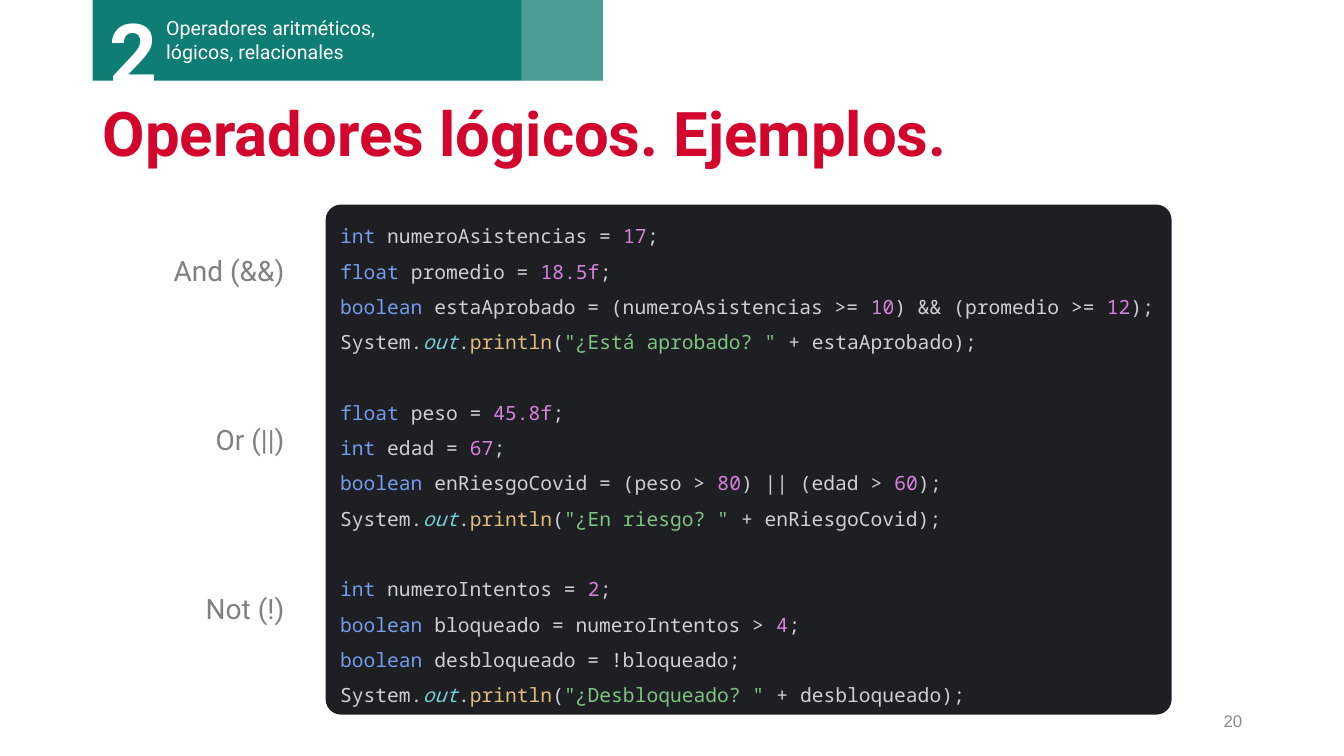
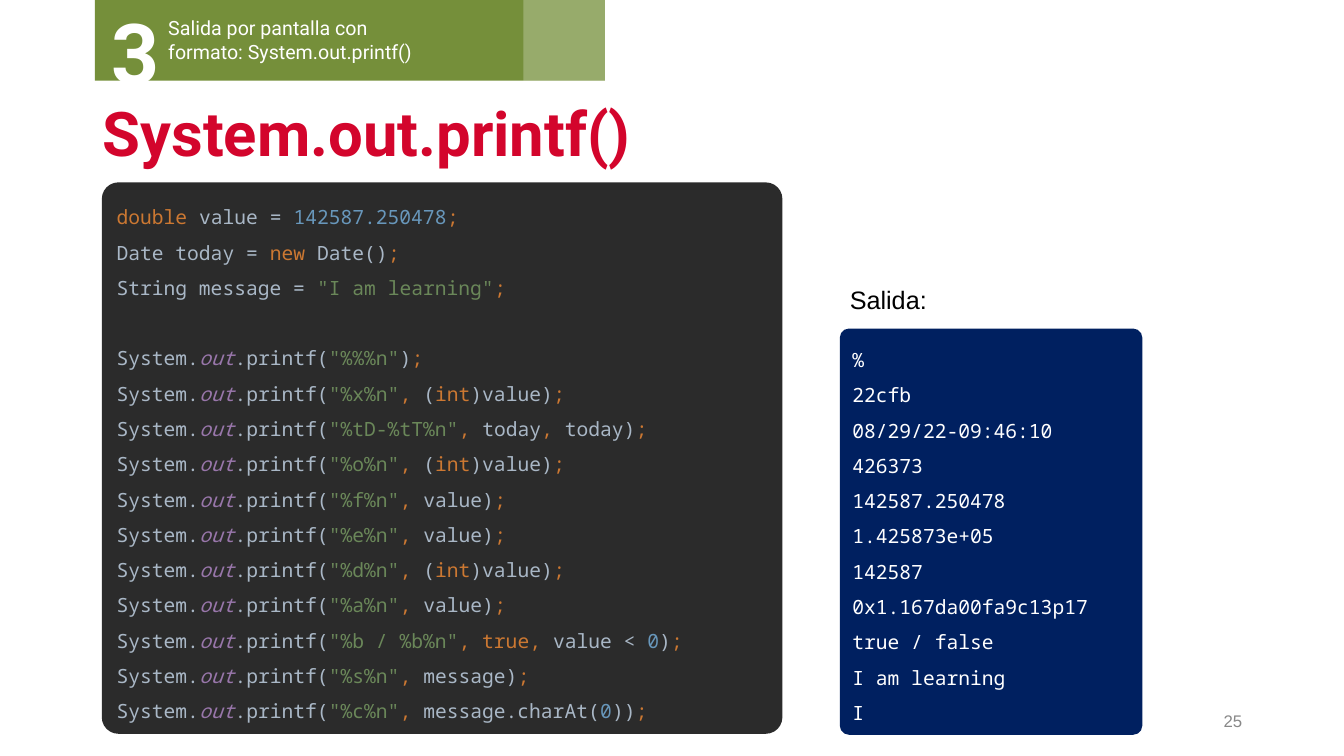
from lxml import etree
from pptx import Presentation
from pptx.dml.color import RGBColor
from pptx.enum.shapes import MSO_SHAPE as SHAPE
from pptx.enum.text import MSO_ANCHOR as ANCHOR, PP_ALIGN as ALIGN
from pptx.oxml.ns import qn
from pptx.util import Inches, Pt

# Shared colours and fonts
WHITE = RGBColor(0xFF, 0xFF, 0xFF)
BLACK = RGBColor(0x00, 0x00, 0x00)
RED = RGBColor(0xD3, 0x05, 0x2C)
GRAY = RGBColor(0x80, 0x80, 0x80)
PAGE_GRAY = RGBColor(0x88, 0x88, 0x88)
TEAL = RGBColor(0x0E, 0x7D, 0x73)
OLIVE = RGBColor(0x75, 0x8F, 0x3A)
NIGHT = RGBColor(0x1E, 0x1F, 0x22)
CHARCOAL = RGBColor(0x2B, 0x2B, 0x2B)
NAVY = RGBColor(0x00, 0x20, 0x60)

SANS, MONO, PLAIN = "Roboto", "Noto Sans Mono", "Arial"
CODE_LINE = Pt(25.2)  # height of one line of code

# Syntax colours: k keyword, n number, s string, f function, i static field
NIGHT_SYNTAX = {
    "": RGBColor(0xCE, 0xD0, 0xD6),
    "k": RGBColor(0x74, 0x9D, 0xED),
    "n": RGBColor(0xD9, 0x81, 0xDE),
    "s": RGBColor(0x7E, 0xC4, 0x82),
    "f": RGBColor(0xDE, 0xBC, 0x7E),
    "i": RGBColor(0x72, 0xCF, 0xD6),
}
CHARCOAL_SYNTAX = {
    "": RGBColor(0xA9, 0xB7, 0xC6),
    "k": RGBColor(0xCC, 0x78, 0x32),
    "n": RGBColor(0x68, 0x97, 0xBB),
    "s": RGBColor(0x6A, 0x87, 0x59),
    "i": RGBColor(0x98, 0x76, 0xAA),
}
OUTPUT_SYNTAX = {"": WHITE}


# Basic elements
def add_run(p, text, size, font, color, bold=False, italic=False):
    r = p.add_run()
    r.text = text
    r.font.size, r.font.name = Pt(size), font
    r.font.bold, r.font.italic = bold, italic
    r.font.color.rgb = color


def add_text(slide, box, lines, size, font, color, bold=False,
             align=ALIGN.LEFT, anchor=ANCHOR.TOP, spacing=None, gap=0):
    tf = slide.shapes.add_textbox(*map(Inches, box)).text_frame
    tf.word_wrap, tf.vertical_anchor = True, anchor
    for i, line in enumerate(lines):
        p = tf.add_paragraph() if i else tf.paragraphs[0]
        p.alignment, p.line_spacing = align, spacing
        if i:
            p.space_before = Pt(gap)
        add_run(p, line, size, font, color, bold)


def add_block(slide, kind, box, color, alpha=None):
    sp = slide.shapes.add_shape(kind, *map(Inches, box))
    sp.shadow.inherit = False
    sp.fill.solid()
    sp.fill.fore_color.rgb = color
    sp.line.fill.background()
    if alpha is not None:
        rgb = sp.fill._xPr.find(".//" + qn("a:srgbClr"))
        etree.SubElement(rgb, qn("a:alpha")).set("val", str(alpha * 1000))
    return sp


# Frame shared by the slides
def add_frame(prs, title, page, left, color, number, section):
    slide = prs.slides.add_slide(prs.slide_layouts[6])
    add_text(slide, (0.92, 0.93, 11.5, 0.86), [title], 44, SANS, RED,
             bold=True, anchor=ANCHOR.MIDDLE, spacing=0.9)
    add_text(slide, (9.42, 6.95, 3, 0.4), [page], 12, PLAIN, PAGE_GRAY,
             align=ALIGN.RIGHT, anchor=ANCHOR.MIDDLE)
    add_block(slide, SHAPE.RECTANGLE, (left, 0, 5.06, 0.8), color)
    add_text(slide, (left + 0.63, 0.11, 2.75, 0.57), [section], 14, SANS, WHITE)
    add_text(slide, (left + 0.07, -0.04, 1.12, 1.11), [number], 60, SANS, WHITE,
             bold=True)
    add_block(slide, SHAPE.RECTANGLE, (left + 4.25, 0, 0.81, 0.8), WHITE, 25)
    return slide


# Code: every second part between § marks starts with its syntax letter
def split_syntax(line):
    for i, part in enumerate(line.split("§")):
        kind, text = (part[0], part[1:]) if i % 2 else ("", part)
        if text:
            yield kind, text


def add_code(slide, box, fill, syntax, groups, anchor=ANCHOR.MIDDLE, wrap=True):
    sp = add_block(slide, SHAPE.ROUNDED_RECTANGLE, box, fill)
    sp.adjustments[0] = round(0.14 / min(box[2:]), 3) if box[2] < 4 else 0.03
    if box[2] < 4:
        sp.adjustments[0] = 0.03
    tf = sp.text_frame
    tf.word_wrap, tf.vertical_anchor = wrap, anchor
    p = tf.paragraphs[0]
    for g, group in enumerate(groups):
        for i, line in enumerate(group):
            if g or i:
                p = tf.add_paragraph()
            if g and not i:
                p.space_before = CODE_LINE
            p.alignment, p.line_spacing = ALIGN.LEFT, 1.5
            for kind, text in split_syntax(line):
                add_run(p, text, 14, MONO, syntax[kind], italic=kind == "i")


def println(label, variable):
    return f'System.§iout§.§fprintln§(§s"{label} " §+ {variable});'


def printf(pattern, *args):
    values = "§k, §".join([f'§s"{pattern}"§', *args])
    return f"System.§iout§.printf({values})§k;§"


# Slides
def logical_operators(prs):
    slide = add_frame(prs, "Operadores lógicos. Ejemplos.", "20", 0.92, TEAL,
                      "2", "Operadores aritméticos, lógicos, relacionales")
    add_code(slide, (3.23, 2.03, 8.39, 5.06), NIGHT, NIGHT_SYNTAX, [
        ["§kint §numeroAsistencias = §n17§;",
         "§kfloat §promedio = §n18.5f§;",
         "§kboolean §estaAprobado = (numeroAsistencias >= §n10§)"
         " && (promedio >= §n12§);",
         println("¿Está aprobado?", "estaAprobado")],
        ["§kfloat §peso = §n45.8f§;",
         "§kint §edad = §n67§;",
         "§kboolean §enRiesgoCovid = (peso > §n80§) || (edad > §n60§);",
         println("¿En riesgo?", "enRiesgoCovid")],
        ["§kint §numeroIntentos = §n2§;",
         "§kboolean §bloqueado = numeroIntentos > §n4§;",
         "§kboolean §desbloqueado = !bloqueado;",
         println("¿Desbloqueado?", "desbloqueado")],
    ], wrap=False)
    add_text(slide, (1.58, 2.47, 1.34, 3.8), ["And (&&)", "Or (||)", "Not (!)"],
             20, SANS, GRAY, align=ALIGN.RIGHT, gap=96.5)


def formatted_output(prs):
    slide = add_frame(prs, "System.out.printf()", "25", 0.94, OLIVE,
                      "3", "Salida por pantalla con formato: System.out.printf()")
    int_value = "(§kint§)value"
    add_code(slide, (1.01, 1.81, 6.75, 5.47), CHARCOAL, CHARCOAL_SYNTAX, [
        ["§kdouble §value = §n142587.250478§§k;§".replace("§§", "§§"),
         "Date today = §knew §Date()§k;§",
         'String message = §s"I am learning"§§k;§'],
        [printf("%%%n"),
         printf("%x%n", int_value),
         printf("%tD-%tT%n", "today", "today"),
         printf("%o%n", int_value),
         printf("%f%n", "value"),
         printf("%e%n", "value"),
         printf("%d%n", int_value),
         printf("%a%n", "value"),
         printf("%b / %b%n", "§ktrue§", "value < §n0§"),
         printf("%s%n", "message"),
         printf("%c%n", "message.charAt(§n0§)")],
    ])
    add_code(slide, (8.33, 3.26, 3, 4.03), NAVY, OUTPUT_SYNTAX, [
        ["%", "22cfb", "08/29/22-09:46:10", "426373", "142587.250478",
         "1.425873e+05", "142587", "0x1.167da00fa9c13p17", "true / false",
         "I am learning", "I"],
    ], anchor=ANCHOR.TOP)
    add_text(slide, (8.33, 2.77, 1.54, 0.4), ["Salida:"], 18, PLAIN, BLACK)


def main():
    prs = Presentation()
    prs.slide_width, prs.slide_height = Inches(13.33), Inches(7.5)
    logical_operators(prs)
    formatted_output(prs)
    prs.save("out.pptx")


if __name__ == "__main__":
    main()
